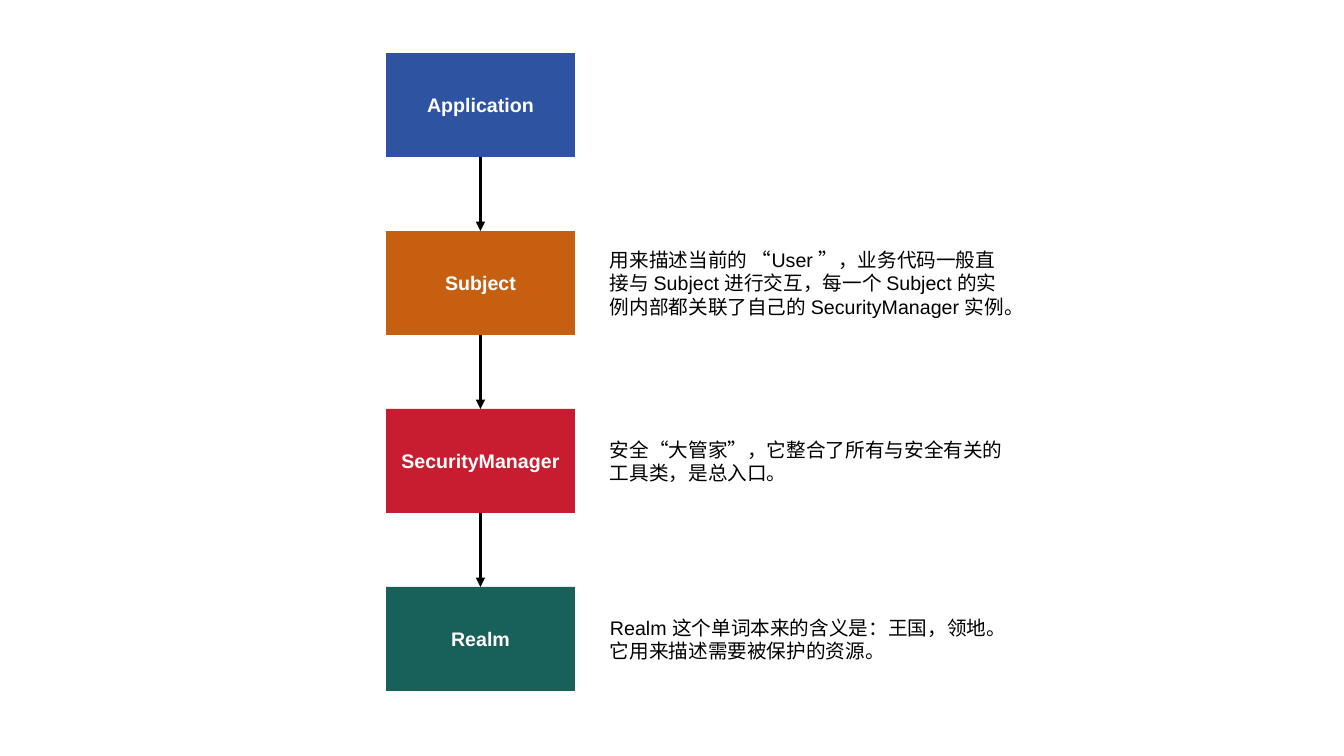
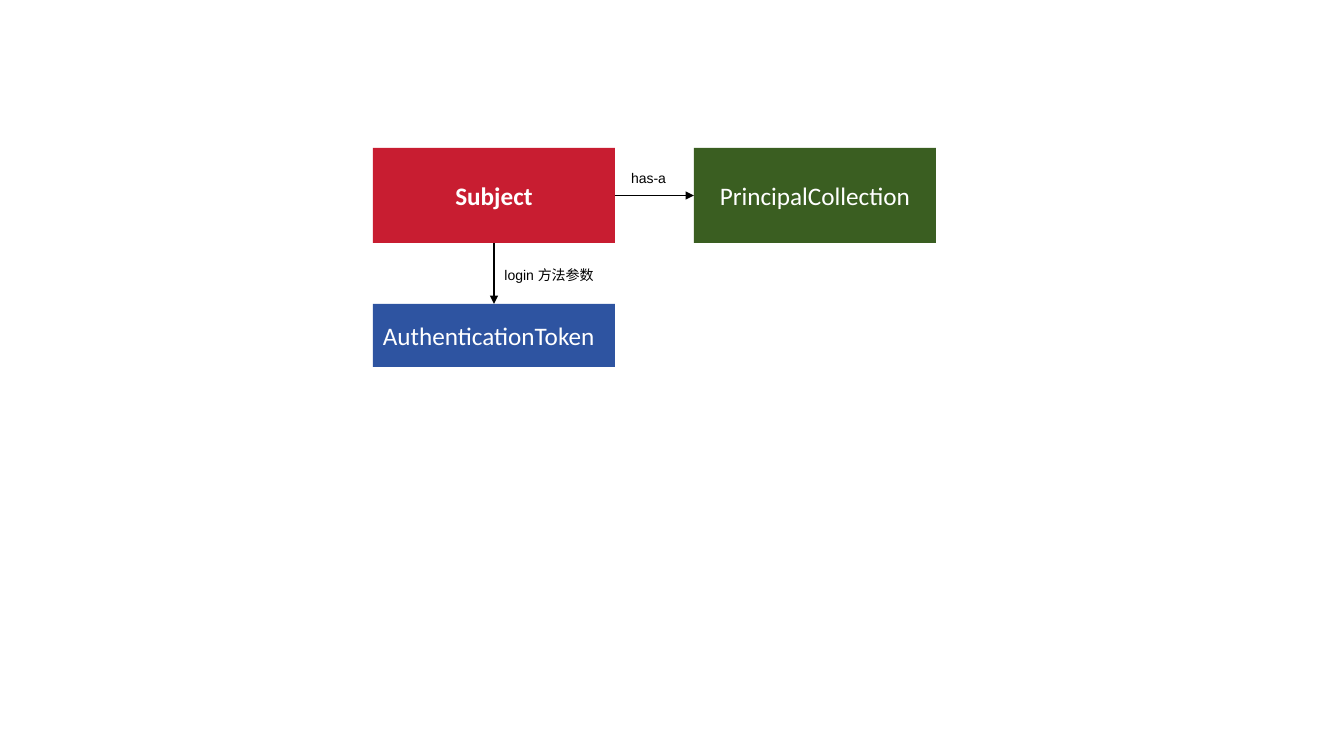
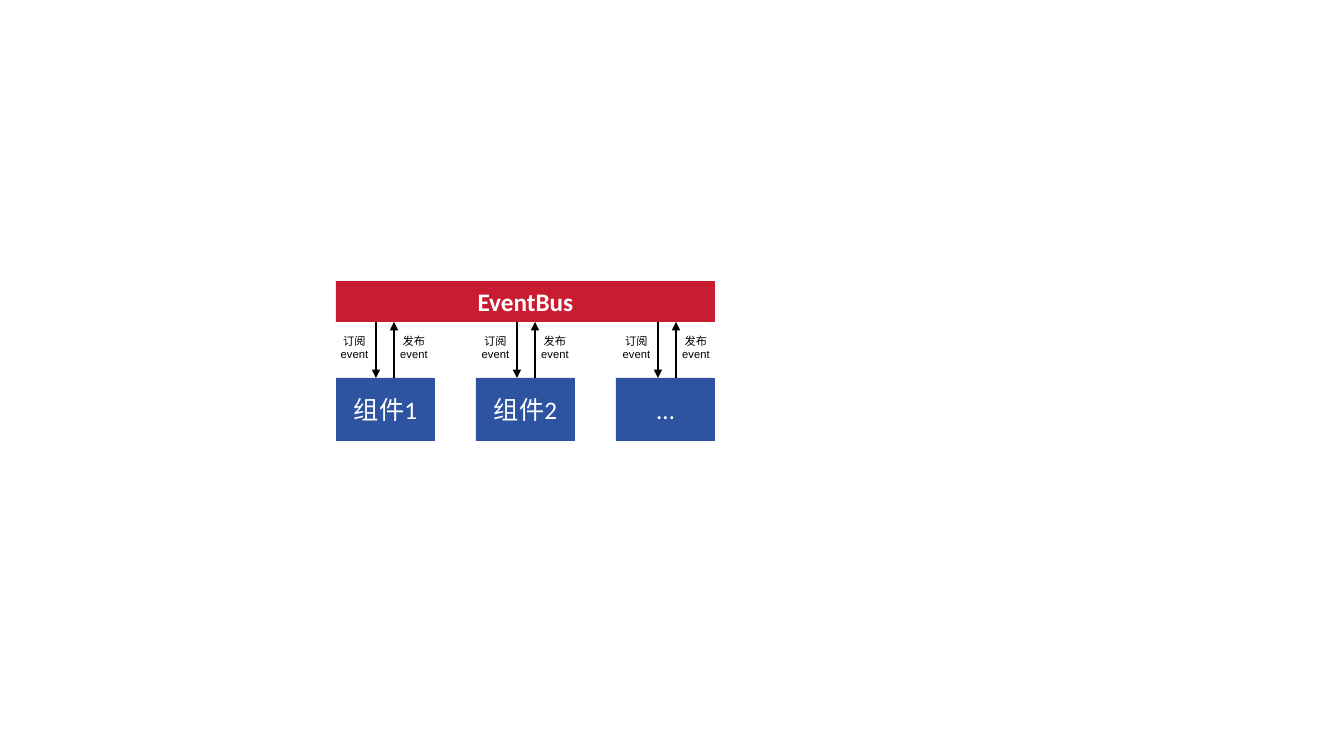
from pptx import Presentation
from pptx.dml.color import RGBColor
from pptx.enum.shapes import MSO_CONNECTOR, MSO_SHAPE
from pptx.enum.text import MSO_ANCHOR, PP_ALIGN
from pptx.oxml.ns import qn
from pptx.util import Pt
from lxml import etree

RECT = MSO_SHAPE.RECTANGLE
LINE = MSO_CONNECTOR.STRAIGHT
MIDDLE = MSO_ANCHOR.MIDDLE
LEFT = PP_ALIGN.LEFT
CENTER = PP_ALIGN.CENTER

WHITE = RGBColor(0xFF, 0xFF, 0xFF)
BLACK = RGBColor(0x00, 0x00, 0x00)
BLUE = RGBColor(0x2E, 0x54, 0xA1)
ORANGE = RGBColor(0xC6, 0x5F, 0x10)
RED = RGBColor(0xC8, 0x1D, 0x31)
TEAL = RGBColor(0x18, 0x60, 0x5A)
GREEN = RGBColor(0x3A, 0x5E, 0x21)

WIDTH, HEIGHT = 1344, 756
SCALE = 12192000 / WIDTH
TOP, SIDE, BOTTOM, RIGHT = range(4)


def px(*sizes):
    return [round(size * SCALE) for size in sizes]


class Deck:
    plain = "Arial"
    title = "Calibri"

    def __init__(self):
        self.file = Presentation()
        self.file.slide_width, self.file.slide_height = px(WIDTH, HEIGHT)

    def page(self):
        self.slide = self.file.slides.add_slide(self.file.slide_layouts[6])
        self.shapes = self.slide.shapes

    def group(self):
        self.shapes = self.slide.shapes.add_group_shape().shapes

    def label(self, shape, text, font, size, color, bold, align):
        frame = shape.text_frame
        frame.word_wrap = True
        frame.vertical_anchor = MIDDLE
        frame.text = text
        for line in frame.paragraphs:
            line.alignment = align
            line.font.name = font
            line.font.size = Pt(size)
            line.font.bold = bold
            line.font.color.rgb = color

    def box(self, x, y, w, h, text, fill, font=title, size=18, bold=False, align=CENTER):
        shape = self.shapes.add_shape(RECT, *px(x, y, w, h))
        shape.shadow.inherit = False
        shape.fill.solid()
        shape.fill.fore_color.rgb = fill
        shape.line.fill.background()
        self.label(shape, text, font, size, WHITE, bold, align)
        return shape

    def note(self, x, y, w, h, text, size, align=CENTER):
        shape = self.shapes.add_textbox(*px(x, y, w, h))
        self.label(shape, text, self.plain, size, BLACK, False, align)

    def arrow(self, x1, y1, x2, y2, width):
        line = self.shapes.add_connector(LINE, *px(x1, y1, x2, y2))
        line.line.color.rgb = BLACK
        line.line.width = Pt(width)
        props = line._element.spPr
        tail = etree.SubElement(props.get_or_add_ln(), qn("a:tailEnd"))
        tail.set("type", "triangle")
        etree.SubElement(props, qn("a:effectLst"))
        return line

    def link(self, start, end, sites, width):
        line = self.arrow(0, 0, 0, 0, width)
        line.begin_connect(start, sites[0])
        line.end_connect(end, sites[1])


def layers(deck):
    deck.page()
    rows = [
        ("Application", BLUE, ""),
        ("Subject", ORANGE, "用来描述当前的 “User ”，业务代码一般直接与 Subject 进行交互，每一个 Subject 的实例内部都关联了自己的 SecurityManager 实例。"),
        ("SecurityManager", RED, "安全“大管家”，它整合了所有与安全有关的工具类，是总入口。"),
        ("Realm", TEAL, "Realm 这个单词本来的含义是：王国，领地。它用来描述需要被保护的资源。"),
    ]
    above = None
    for i, (name, fill, text) in enumerate(rows):
        y = 53 + 178 * i
        box = deck.box(386, y, 189, 104, name, fill, deck.plain, 14, True)
        if above:
            deck.link(above, box, (BOTTOM, TOP), 2.25)
            deck.note(600, y + 17, 415, 70, text, 14, LEFT)
        above = box


def login(deck):
    deck.page()
    user = deck.box(373, 148, 242, 95, "Subject", RED, bold=True)
    names = deck.box(694, 148, 242, 95, "PrincipalCollection", GREEN)
    token = deck.box(373, 304, 242, 63, "AuthenticationToken", BLUE, align=LEFT)
    deck.link(user, names, (RIGHT, SIDE), 0.75)
    deck.link(user, token, (BOTTOM, TOP), 0.75)
    deck.note(616, 160, 65, 35, "has-a", 10)
    deck.note(482, 257, 134, 35, "login 方法参数", 10)


def events(deck):
    deck.page()
    deck.box(336, 281, 379, 41, "EventBus", RED, bold=True)
    for i, name in enumerate(("组件1", "组件2", "…")):
        deck.box(336 + 140 * i, 378, 99, 63, name, BLUE)
    for i in range(3):
        x = 376 + 141 * i
        deck.group()
        deck.arrow(x, 322, x, 378, 1.5)
        deck.note(x - 48, 330, 53, 35, "订阅\nevent", 8)
        deck.arrow(x + 18, 378, x + 18, 322, 1.5)
        deck.note(x + 12, 330, 52, 35, "发布 event", 8)


def main():
    deck = Deck()
    layers(deck)
    login(deck)
    events(deck)
    deck.file.save("out.pptx")


if __name__ == "__main__":
    main()
